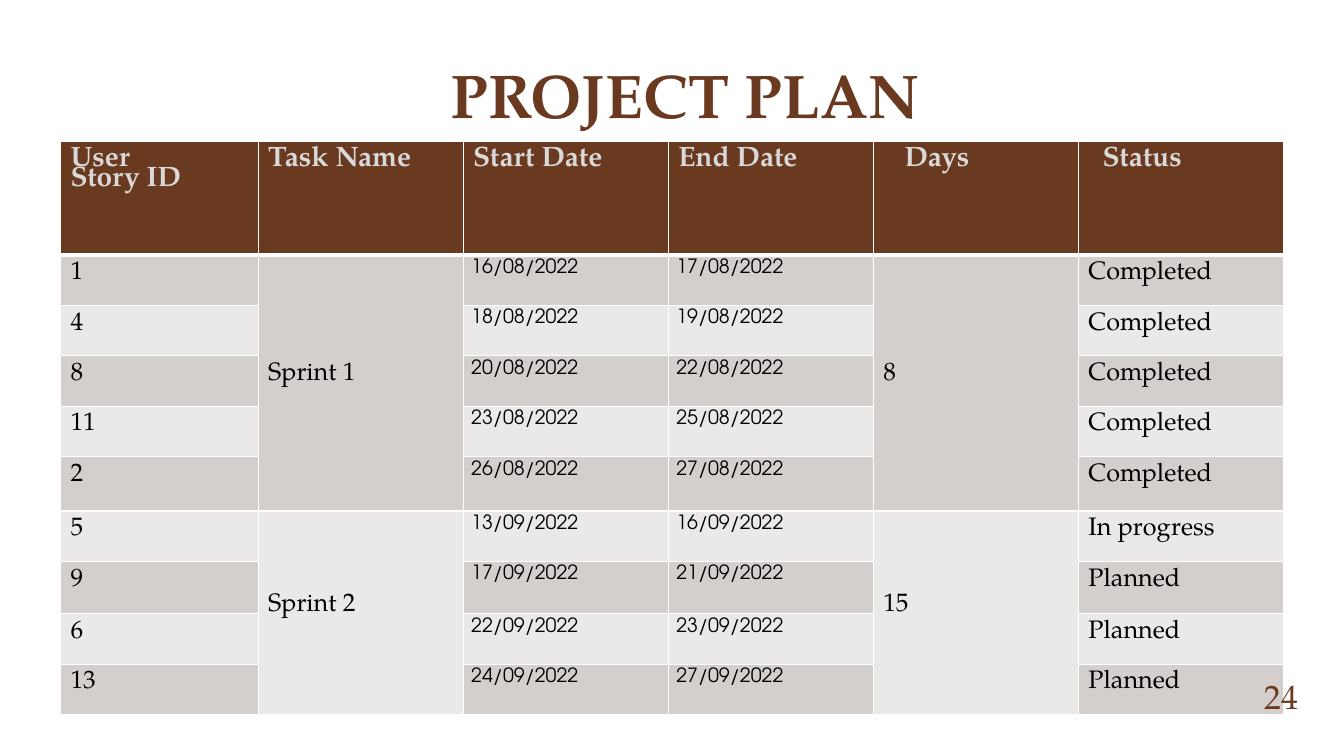
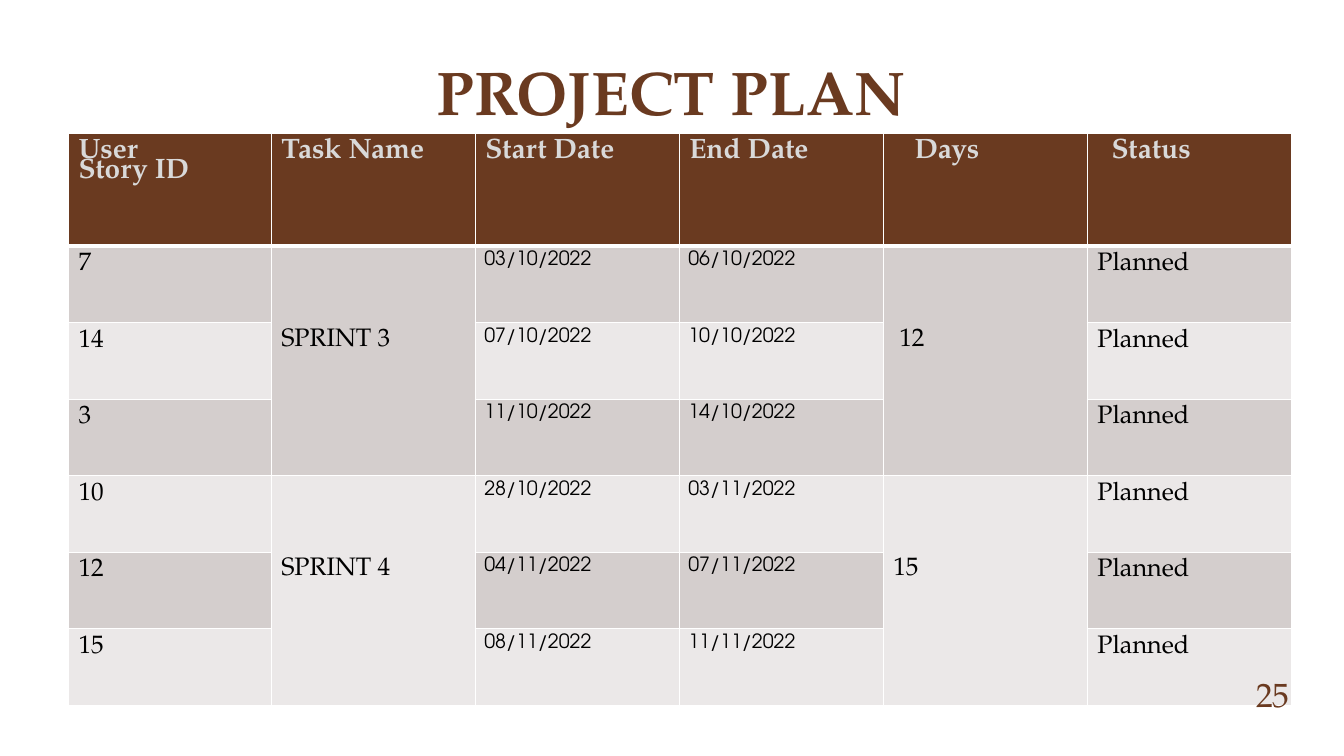
from pptx import Presentation
from pptx.dml.color import RGBColor
from pptx.enum.text import MSO_ANCHOR as Anchor, PP_ALIGN as Align
from pptx.oxml import parse_xml
from pptx.oxml.ns import nsdecls
from pptx.util import Inches, Pt

# Shared look
BROWN, PALE, WHITE, BLACK = "6A3A20", "D9D9D9", "FFFFFF", "000000"
BANDS = ("D4CECD", "EBE8E8")
SERIF, SANS = "TeX Gyre Pagella", "TeX Gyre Adventor"
TABLE_WIDTH = 12.13
INSET = 0.1
LINE_SPACING = 0.72

# Content
TITLE = "PROJECT PLAN"
HEADINGS = ["User\nStory ID", "Task Name", "Start Date", "End Date", "Days", "Status"]
HEADING_INDENTS = {"Days": 0.21, "Status": 0.14}
TASK, DAYS = 1, 4

# Sprint: name, days, drop of the label, indent of the days, stories
# Story: id, start, end, status
PLANS = [
    dict(
        number="24", title_box=(1.47, 0.36, 10.66, 0.99), number_at=(12.19, 6.74),
        table_at=(0.6, 1.4), first_column=1.96, date_inset=0.08,
        row_heights=[1.13, 0.5, 0.5, 0.5, 0.5, 0.54, 0.5, 0.52, 0.5, 0.5],
        sprints=[
            ("Sprint 1", "8", 1.0, 0, [
                ("1", "16/08/2022", "17/08/2022", "Completed"),
                ("4", "18/08/2022", "19/08/2022", "Completed"),
                ("8", "20/08/2022", "22/08/2022", "Completed"),
                ("11", "23/08/2022", "25/08/2022", "Completed"),
                ("2", "26/08/2022", "27/08/2022", "Completed")]),
            ("Sprint 2", "15", 0.75, 0, [
                ("5", "13/09/2022", "16/09/2022", "In progress"),
                ("9", "17/09/2022", "21/09/2022", "Planned"),
                ("6", "22/09/2022", "23/09/2022", "Planned"),
                ("13", "24/09/2022", "27/09/2022", "Planned")]),
        ]),
    dict(
        number="25", title_box=(1.33, 0.25, 10.66, 1.07), number_at=(12.11, 6.72),
        table_at=(0.68, 1.32), first_column=2.01, date_inset=0.09,
        row_heights=[1.12] + [0.76] * 6,
        sprints=[
            ("SPRINT 3", "12", 0.75, 0.06, [
                ("7", "03/10/2022", "06/10/2022", "Planned"),
                ("14", "07/10/2022", "10/10/2022", "Planned"),
                ("3", "11/10/2022", "14/10/2022", "Planned")]),
            ("SPRINT 4", "15", 0.75, 0, [
                ("10", "28/10/2022", "03/11/2022", "Planned"),
                ("12", "04/11/2022", "07/11/2022", "Planned"),
                ("15", "08/11/2022", "11/11/2022", "Planned")]),
        ]),
]


def color(hex_code):
    return RGBColor.from_string(hex_code)


def write(frame, text, size=18, font=SERIF, ink=BLACK, bold=False,
          align=Align.LEFT, spacing=None):
    """Fill a text frame, one paragraph for each line of text."""
    frame.word_wrap = True
    for index, line in enumerate(text.split("\n")):
        paragraph = frame.add_paragraph() if index else frame.paragraphs[0]
        paragraph.alignment = align
        paragraph.line_spacing = spacing
        run = paragraph.add_run()
        run.text = line
        run.font.size, run.font.name, run.font.bold = Pt(size), font, bold
        run.font.color.rgb = color(ink)


def add_text(slide, text, box, anchor, **style):
    frame = slide.shapes.add_textbox(*map(Inches, box)).text_frame
    frame.vertical_anchor = anchor
    write(frame, text, **style)


def paint(cell, fill, top=1, bottom=1):
    """Give a cell its white borders and its fill."""
    properties = cell._tc.get_or_add_tcPr()
    for side, width in (("L", 1), ("R", 1), ("T", top), ("B", bottom)):
        properties.append(parse_xml(
            f'<a:ln{side} {nsdecls("a")} w="{Pt(width)}"><a:solidFill>'
            f'<a:srgbClr val="{WHITE}"/></a:solidFill></a:ln{side}>'))
    cell.fill.solid()
    cell.fill.fore_color.rgb = color(fill)


def fill_cell(cell, text, inset=INSET, indent=0, drop=0, **style):
    cell.margin_right = cell.margin_bottom = Inches(inset)
    cell.margin_left = Inches(inset + indent)
    cell.margin_top = Inches(inset + drop)
    write(cell.text_frame, text, spacing=LINE_SPACING, **style)


def add_plan_table(slide, plan):
    heights = plan["row_heights"]
    left, top = plan["table_at"]
    table = slide.shapes.add_table(
        len(heights), len(HEADINGS), Inches(left), Inches(top),
        Inches(TABLE_WIDTH), Inches(sum(heights))).table
    other_column = (TABLE_WIDTH - plan["first_column"]) / (len(HEADINGS) - 1)
    for index, column in enumerate(table.columns):
        column.width = Inches(other_column if index else plan["first_column"])
    for row, height in zip(table.rows, heights):
        row.height = Inches(height)

    # Header row
    for column, heading in enumerate(HEADINGS):
        cell = table.cell(0, column)
        paint(cell, BROWN, bottom=3)
        fill_cell(cell, heading, indent=HEADING_INDENTS.get(heading, 0),
                  size=20, ink=PALE, bold=True)

    # Sprints, each with its stories
    first = 1
    for name, days, drop, indent, stories in plan["sprints"]:
        last = first + len(stories) - 1
        for row, (story, start, end, status) in enumerate(stories, first):
            for column in range(len(HEADINGS)):
                band = first if column in (TASK, DAYS) else row
                paint(table.cell(row, column), BANDS[(band - 1) % 2],
                      top=3 if row == 1 else 1)
            fill_cell(table.cell(row, 0), story)
            for column, date in ((2, start), (3, end)):
                fill_cell(table.cell(row, column), date,
                          inset=plan["date_inset"], size=14, font=SANS)
            fill_cell(table.cell(row, 5), status)
        for column, label, shift in ((TASK, name, 0), (DAYS, days, indent)):
            cell = table.cell(first, column)
            cell.merge(table.cell(last, column))
            fill_cell(cell, label, drop=drop, indent=shift)
        first = last + 1


def main():
    deck = Presentation()
    deck.slide_width, deck.slide_height = Inches(13.33), Inches(7.5)
    for plan in PLANS:
        slide = deck.slides.add_slide(deck.slide_layouts[6])
        add_text(slide, TITLE, plan["title_box"], Anchor.BOTTOM,
                 size=44, ink=BROWN, bold=True, align=Align.CENTER)
        add_plan_table(slide, plan)
        add_text(slide, plan["number"], (*plan["number_at"], 0.78, 0.33),
                 Anchor.MIDDLE, size=24, ink=BROWN, align=Align.RIGHT)
    deck.save("out.pptx")


if __name__ == "__main__":
    main()
